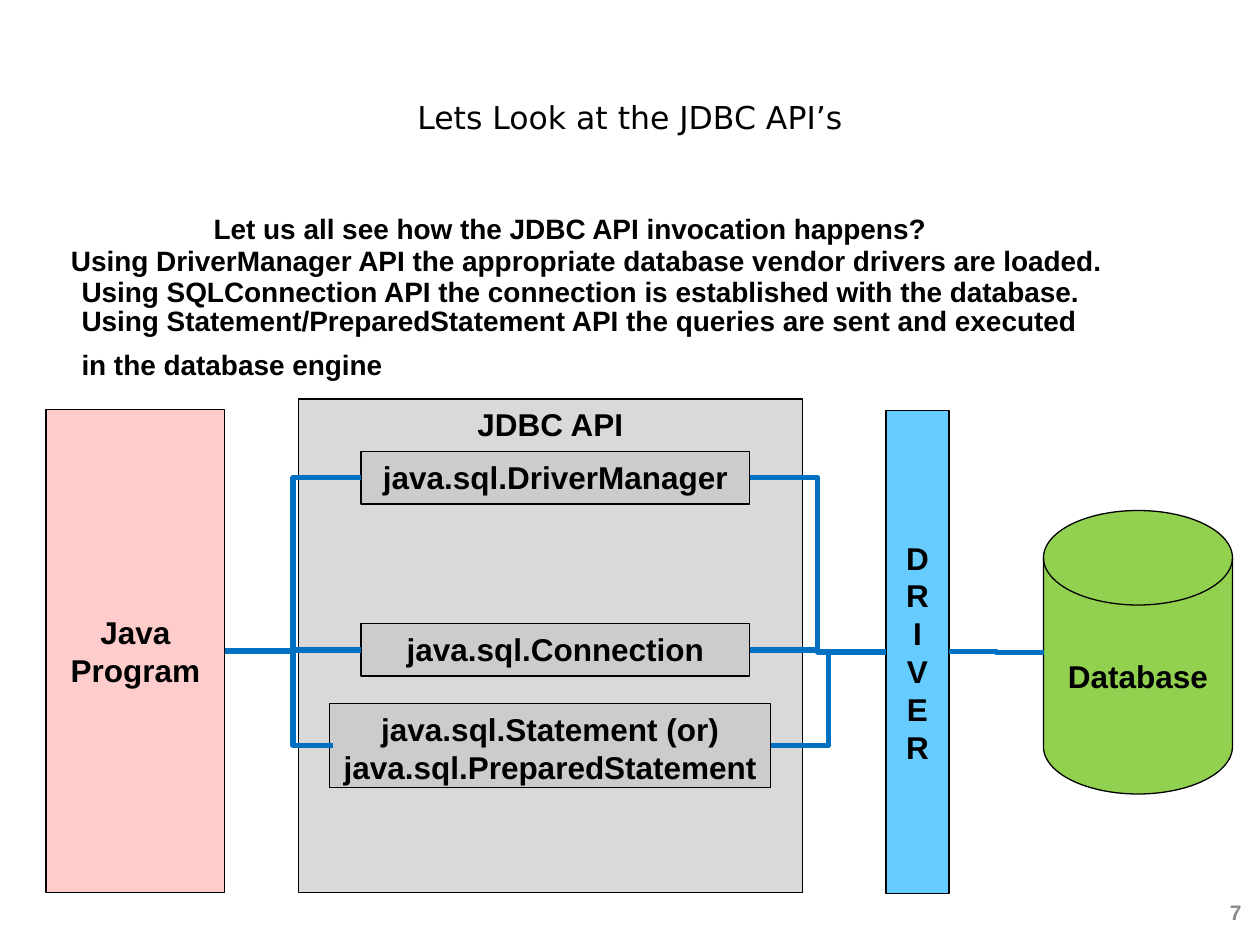
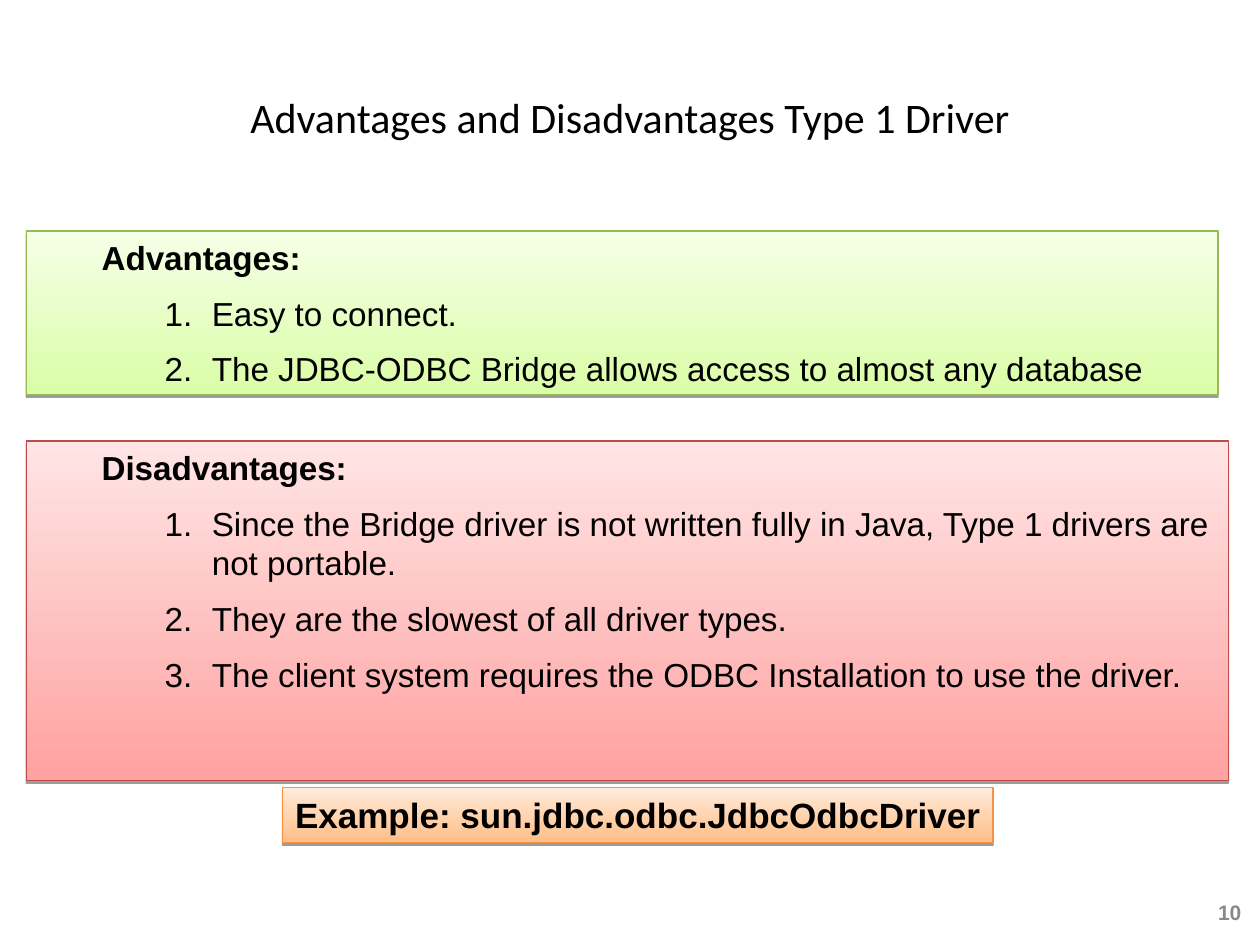
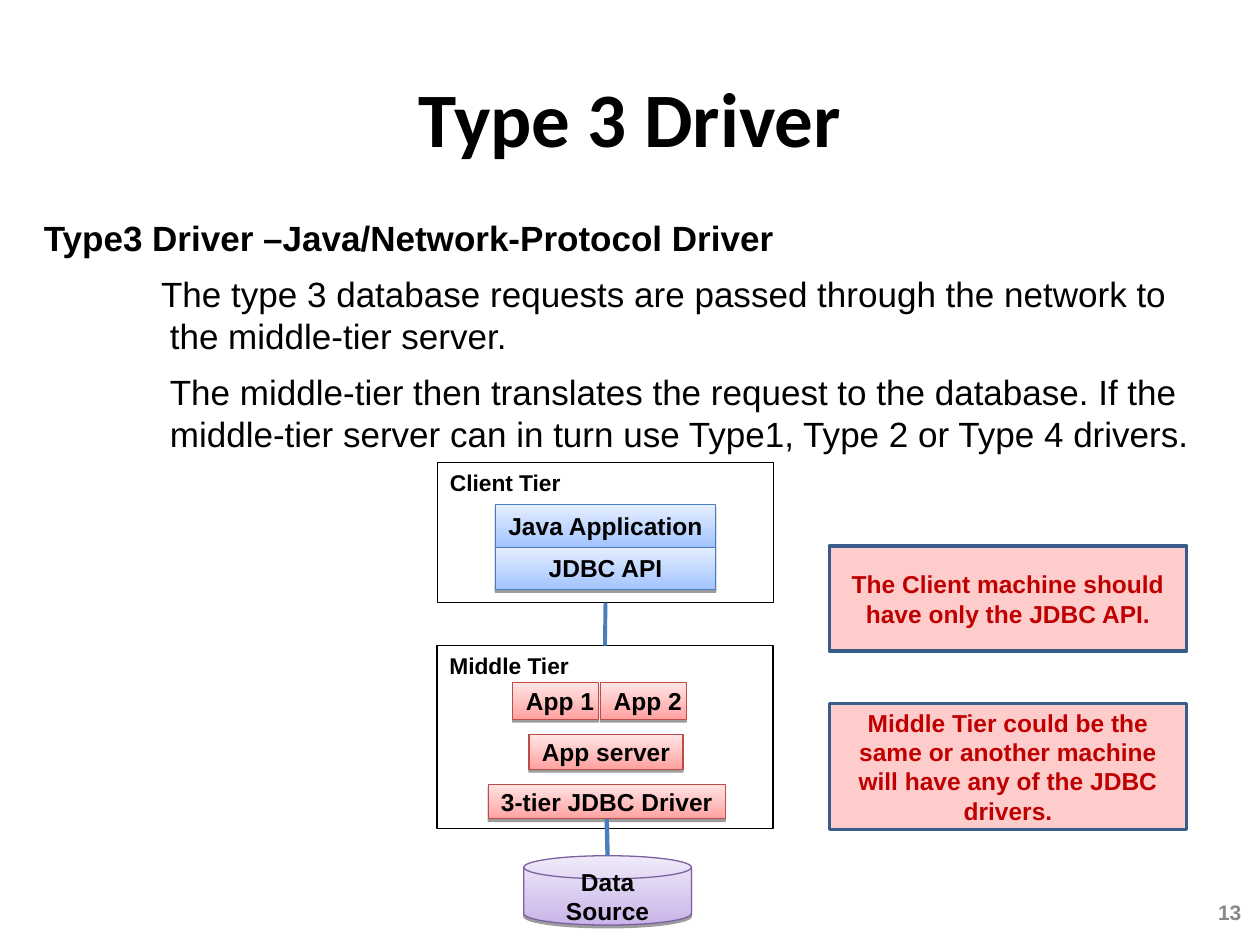
import lxml.etree
import pptx
import pptx.dml.color
import pptx.enum.shapes
import pptx.enum.text
import pptx.oxml.ns
import pptx.util

Pt = pptx.util.Pt
RGBColor = pptx.dml.color.RGBColor
SHAPE = pptx.enum.shapes.MSO_SHAPE
CONNECTOR = pptx.enum.shapes.MSO_CONNECTOR
ALIGN = pptx.enum.text.PP_ALIGN
ANCHOR = pptx.enum.text.MSO_ANCHOR
qn = pptx.oxml.ns.qn

BLACK = RGBColor(0x00, 0x00, 0x00)
NUMBER_GREY = RGBColor(0x89, 0x89, 0x89)
PANEL_GREY = RGBColor(0xD9, 0xD9, 0xD9)
API_GREY = RGBColor(0xCC, 0xCC, 0xCC)
PALE_PINK = RGBColor(0xFF, 0xCC, 0xCC)
SKY = RGBColor(0x66, 0xCC, 0xFF)
LEAF = RGBColor(0x92, 0xD0, 0x50)
LINK_BLUE = RGBColor(0x00, 0x70, 0xC0)
TIER_BLUE = RGBColor(0x4A, 0x7E, 0xBB)
NOTE_BLUE = RGBColor(0x38, 0x5D, 0x8A)
NOTE_RED = RGBColor(0xC0, 0x00, 0x00)

# Gradient themes: outline, bottom colour, top colour
ORANGE = (RGBColor(0xF6, 0x92, 0x40), RGBColor(0xFF, 0xBE, 0x86), RGBColor(0xFF, 0xEB, 0xDB))
RED = (RGBColor(0xBE, 0x4B, 0x48), RGBColor(0xFF, 0xA2, 0xA1), RGBColor(0xFF, 0xE5, 0xE5))
GREEN = (RGBColor(0x98, 0xB9, 0x54), RGBColor(0xDA, 0xFD, 0xA7), RGBColor(0xF5, 0xFF, 0xE6))
BLUE = (TIER_BLUE, RGBColor(0xA3, 0xC4, 0xFF), RGBColor(0xE5, 0xEE, 0xFF))
PURPLE = (RGBColor(0x7D, 0x60, 0xA0), RGBColor(0xC9, 0xB5, 0xE8), RGBColor(0xF0, 0xEA, 0xF9))


def box(s, kind, x, y, w, h, text, size=18, fill=None, theme=None, line=BLACK, weight=0.75,
        color=BLACK, bold=True, font="Arial", align=ALIGN.CENTER, anchor=ANCHOR.TOP,
        wrap=True, pad=3.6, right=7.2):
    """Add a text box (kind None) or a filled shape, with its text formatted."""
    if kind is None:
        sp = s.shapes.add_textbox(Pt(x), Pt(y), Pt(w), Pt(h))
    else:
        sp = s.shapes.add_shape(kind, Pt(x), Pt(y), Pt(w), Pt(h))
        sp.shadow.inherit = False
        sp.line.color.rgb = theme[0] if theme else line
        sp.line.width = Pt(weight)
        if theme:
            sp.fill.gradient()
            sp.fill.gradient_angle = 90
            for stop, rgb in zip(sp.fill.gradient_stops, theme[1:]):
                stop.color.rgb = rgb
            effects = sp._element.spPr.find(qn("a:effectLst"))
            shadow = lxml.etree.SubElement(effects, qn("a:outerShdw"), blurRad="0",
                                           dist=str(Pt(1.6)), dir="5400000", rotWithShape="0")
            rgb = lxml.etree.SubElement(shadow, qn("a:srgbClr"), val="000000")
            lxml.etree.SubElement(rgb, qn("a:alpha"), val="38000")
        elif fill is not None:
            sp.fill.solid()
            sp.fill.fore_color.rgb = fill
        else:
            sp.fill.background()
    tf = sp.text_frame
    tf.word_wrap = wrap
    tf.vertical_anchor = anchor
    tf.margin_left, tf.margin_right = Pt(7.2), Pt(right)
    tf.margin_top = tf.margin_bottom = Pt(pad)
    tf.text = text
    for p in tf.paragraphs:
        p.alignment = align
        for r in p.runs:
            r.font.name, r.font.size, r.font.bold = font, Pt(size), bold
            r.font.color.rgb = color
    return sp


def link(s, kind, color, weight, begin=None, end=None, xy=(0, 0, 0, 0)):
    """Draw a connector between (shape, site) pairs; xy gives the free ends."""
    cx = s.shapes.add_connector(kind, *[Pt(v) for v in xy])
    if begin:
        cx.begin_connect(*begin)
    if end:
        cx.end_connect(*end)
    cx.line.color.rgb = color
    cx.line.width = Pt(weight)
    lxml.etree.SubElement(cx._element.spPr, qn("a:effectLst"))
    return cx


prs = pptx.Presentation()
prs.slide_width, prs.slide_height = Pt(720), Pt(540)

# Titles and slide numbers
slides = []
for title, size, font, bold, number in [
    ("Lets Look at the JDBC API’s", 18, "DejaVu Sans", False, "7"),
    ("Advantages and Disadvantages Type 1 Driver", 24, "Calibri", False, "10"),
    ("Type 3 Driver", 44, "Calibri", True, "13"),
]:
    s = prs.slides.add_slide(prs.slide_layouts[6])
    box(s, None, 36, 21.6, 648, 90, title, size, font=font, bold=bold, anchor=ANCHOR.MIDDLE)
    box(s, None, 681, 508.5, 35.5, 25, number, 12, color=NUMBER_GREY,
        align=ALIGN.RIGHT, anchor=ANCHOR.MIDDLE)
    slides.append(s)

# Slide 1: call chain from program to database
s = slides[0]
box(s, SHAPE.RECTANGLE, 170.5, 228, 288, 282, "JDBC API", fill=PANEL_GREY)
box(s, SHAPE.FLOWCHART_MAGNETIC_DISK, 596.3, 291.7, 108, 162, "Database", fill=LEAF,
    anchor=ANCHOR.MIDDLE)
program = box(s, SHAPE.RECTANGLE, 26.4, 234, 102, 276, "Java\nProgram", fill=PALE_PINK,
              anchor=ANCHOR.MIDDLE)
driver = box(s, SHAPE.RECTANGLE, 506.3, 234.5, 36, 276, "\n".join("DRIVER"), fill=SKY,
             anchor=ANCHOR.MIDDLE)
connection = box(s, SHAPE.RECTANGLE, 206.4, 356.4, 222, 30, "java.sql.Connection", fill=API_GREY)
manager = box(s, SHAPE.RECTANGLE, 206.4, 258, 222, 30, "java.sql.DriverManager", fill=API_GREY)
statement = box(s, SHAPE.RECTANGLE, 188.4, 402, 252, 48,
                "java.sql.Statement (or)\njava.sql.PreparedStatement", fill=API_GREY)

for api in (manager, connection):
    link(s, CONNECTOR.ELBOW, LINK_BLUE, 3, (program, 3), (api, 1))
to_statement = link(s, CONNECTOR.ELBOW, LINK_BLUE, 3, xy=(130.5, 372, 190.5, 426))
guides = to_statement._element.spPr.prstGeom.get_or_add_avLst()
lxml.etree.SubElement(guides, qn("a:gd"), name="adj1", fmla="val 61600")
for api in (manager, connection, statement):
    link(s, CONNECTOR.ELBOW, LINK_BLUE, 3, (api, 3), (driver, 1))
link(s, CONNECTOR.ELBOW, LINK_BLUE, 3, (driver, 3), xy=(542.3, 372.5, 596.3, 373))

for x, y, w, h, text in [
    (115, 117.5, 422, 26.6, "Let us all see how the JDBC API invocation happens?"),
    (33.5, 135.5, 604, 26.6,
     "Using DriverManager API the appropriate database vendor drivers are loaded."),
    (39.5, 153.5, 585.5, 26.6,
     "Using SQLConnection API the connection is established with the database."),
    (39.5, 170, 588, 52,
     "Using Statement/PreparedStatement API the queries are sent and executed\n"
     "in the database engine"),
]:
    sp = box(s, None, x, y, w, h, text, 16, align=ALIGN.LEFT, wrap=False)
    for p in sp.text_frame.paragraphs[1:]:
        p.space_before = Pt(6)

# Slide 2: example and the two numbered panels
s = slides[1]
box(s, SHAPE.RECTANGLE, 161.5, 450, 406, 31.5, "Example: sun.jdbc.odbc.JdbcOdbcDriver", 20,
    theme=ORANGE, align=ALIGN.LEFT, wrap=False)
for y, w, h, theme, heading, points in [
    (252, 687, 194, RED, "Disadvantages:", [
        "Since the Bridge driver is not written fully in Java, Type 1 drivers are not portable.",
        "They are the slowest of all driver types.",
        "The client system requires the ODBC Installation to use the driver."]),
    (132, 681, 93.5, GREEN, "Advantages:", [
        "Easy to connect.",
        "The JDBC-ODBC Bridge allows access to almost any database"]),
]:
    sp = box(s, SHAPE.RECTANGLE, 15, y, w, h, "\n".join([heading] + points), 19,
             theme=theme, align=ALIGN.LEFT)
    paragraphs = sp.text_frame.paragraphs
    paragraphs[0]._p.get_or_add_pPr().set("marL", str(Pt(36)))
    for p in paragraphs[1:]:
        p.space_before = Pt(9)
        p.runs[0].font.bold = False
        pPr = p._p.get_or_add_pPr()
        pPr.set("marL", str(Pt(99)))
        pPr.set("indent", str(Pt(-27)))
        lxml.etree.SubElement(pPr, qn("a:buFont"), typeface="Arial")
        lxml.etree.SubElement(pPr, qn("a:buAutoNum"), type="arabicPeriod")

# Slide 3: description
s = slides[2]
sp = box(s, None, 18, 120, 678, 143.5,
         "Type3 Driver –Java/Network-Protocol Driver\n"
         "The type 3 database requests are passed through the network to the middle-tier server.\n"
         "The middle-tier then translates the request to the database. If the middle-tier server "
         "can in turn use Type1, Type 2 or Type 4 drivers.", 20, align=ALIGN.LEFT)
for p, indent in zip(sp.text_frame.paragraphs[1:], (-5, 0)):
    p.space_before = Pt(8)
    p.runs[0].font.bold = False
    pPr = p._p.get_or_add_pPr()
    pPr.set("marL", str(Pt(72)))
    pPr.set("indent", str(Pt(indent)))

# Client tier
client = box(s, SHAPE.RECTANGLE, 250, 264.3, 192, 80, "Client Tier", 13, align=ALIGN.LEFT)
for i, text in enumerate(["Java Application", "JDBC API"]):
    box(s, SHAPE.RECTANGLE, 283, 288.5 + 24.2 * i, 126, 24.2, text, 14, theme=BLUE)

# Data source and middle tier
box(s, SHAPE.FLOWCHART_MAGNETIC_DISK, 299.3, 489, 95.8, 39.6, "Data Source", 14, theme=PURPLE,
    anchor=ANCHOR.MIDDLE)
middle = box(s, SHAPE.RECTANGLE, 249.7, 369, 192, 104.4, "Middle Tier", 13, align=ALIGN.LEFT)
for x, y, w, h, text, pad, right in [
    (302.3, 419.8, 88, 19.8, "App server", 1.44, 7.2),
    (293, 390, 49, 21, "App 1", 2.16, 2.16),
    (343.2, 390, 49, 21, "App 2", 2.16, 2.16),
    (279, 448.1, 135.4, 19.8, "3-tier JDBC Driver", 1.44, 7.2),
]:
    sp = box(s, SHAPE.RECTANGLE, x, y, w, h, text, 14, theme=RED, wrap=False,
             pad=pad, right=right)
link(s, CONNECTOR.STRAIGHT, TIER_BLUE, 2.5, (sp, 2), xy=(346.7, 467.9, 347.2, 489))
link(s, CONNECTOR.STRAIGHT, TIER_BLUE, 2.25, (client, 2), (middle, 0))

# Notes on the right
for y, h, text in [
    (312, 60, "The Client machine should have only the JDBC API."),
    (402, 72, "Middle Tier could be the same or another machine will have any of the JDBC drivers."),
]:
    box(s, SHAPE.RECTANGLE, 474, y, 204, h, text, 14, fill=PALE_PINK, line=NOTE_BLUE, weight=2,
        color=NOTE_RED, anchor=ANCHOR.MIDDLE)

prs.save("out.pptx")
